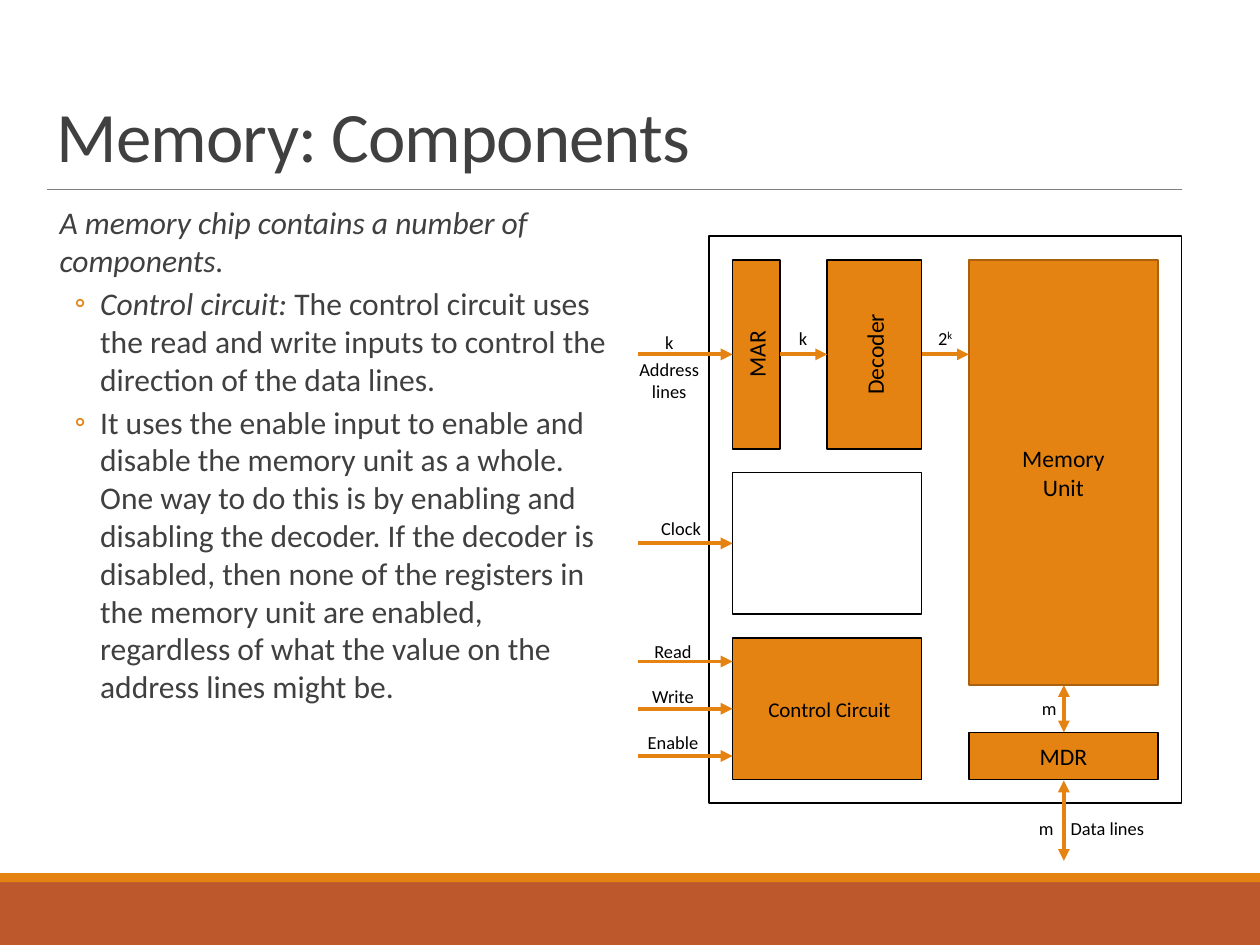
"""Builds a slide on the components of a memory chip."""
from dataclasses import dataclass
from lxml.etree import SubElement
from pptx import Presentation
from pptx.dml.color import RGBColor
from pptx.enum.shapes import MSO_CONNECTOR, MSO_SHAPE
from pptx.enum.text import MSO_ANCHOR, PP_ALIGN
from pptx.oxml.ns import qn
from pptx.util import Inches, Pt


@dataclass
class Theme:
    """Colours and type sizes."""
    font: str = "Calibri"
    ink: str = "404040"
    black: str = "000000"
    main: str = "E48312"
    edge: str = "A9610D"
    base: str = "BD582C"
    rule: str = "808080"
    title: int = 54
    body: int = 24
    block: int = 18
    small: int = 16
    label: int = 14


def cell(n):
    """Turns grid cells of a quarter inch into a length."""
    return Inches(n * 0.25)


def color(code):
    """Turns a hex code into a colour."""
    return RGBColor.from_string(code)


class Sheet:
    """Holds the theme and the slide being drawn."""

    def __init__(self, theme, slide):
        self.theme = theme
        self.slide = slide

    def run(self, para, text, size, ink, italic=False, **marks):
        """Adds one styled run."""
        run = para.add_run()
        run.text = text
        font = run.font
        font.name, font.size, font.italic = self.theme.font, Pt(size), italic
        font.color.rgb = color(ink)
        for key, val in marks.items():
            run._r.get_or_add_rPr().set(key, val)

    def paras(self, frame, count, align=PP_ALIGN.CENTER, before=0, after=0):
        """Returns the asked number of spaced paragraphs."""
        items = [frame.paragraphs[0]]
        items += [frame.add_paragraph() for _ in range(count - 1)]
        for para in items:
            para.alignment = align
            para.space_before, para.space_after = Pt(before), Pt(after)
        return items

    def indent(self, para, left, hang=0, mark=None):
        """Sets a hanging indent and a bullet."""
        props = para._p.get_or_add_pPr()
        props.set("marL", str(Inches(left)))
        props.set("indent", str(-Inches(hang)))
        if mark:
            tint = SubElement(props, qn("a:buClr"))
            SubElement(tint, qn("a:srgbClr"), val=self.theme.main)
            SubElement(props, qn("a:buFont"), typeface=self.theme.font)
            SubElement(props, qn("a:buChar"), char=mark)

    def title(self, text, *box):
        """Places and fills the title."""
        shape = self.slide.shapes.title
        shape.left, shape.top, shape.width, shape.height = map(cell, box)
        frame = shape.text_frame
        frame.vertical_anchor = MSO_ANCHOR.BOTTOM
        para = self.paras(frame, 1, PP_ALIGN.LEFT)[0]
        para.line_spacing = 0.85
        self.run(para, text, self.theme.title, self.theme.ink, spc="-70")

    def body(self, items, *box):
        """Adds a lead line with bullets below it."""
        frame = self.slide.shapes.add_textbox(*map(cell, box)).text_frame
        frame.word_wrap = True
        frame.margin_left = frame.margin_right = 0
        rows = self.paras(frame, len(items), PP_ALIGN.LEFT, 2, 2)
        for i, (para, runs) in enumerate(zip(rows, items)):
            self.indent(para, *((0.56, 0.27, "◦") if i else (0.13,)))
            for text, slant in runs:
                self.run(para, text, self.theme.body, self.theme.ink, slant)

    def block(self, lines, *box, fill=None, line=None, size=None, turn=False):
        """Adds a rectangle with centred text."""
        shape = self.slide.shapes.add_shape(MSO_SHAPE.RECTANGLE, *map(cell, box))
        shape.shadow.inherit = False
        if fill:
            shape.fill.solid()
            shape.fill.fore_color.rgb = color(fill)
        else:
            shape.fill.background()
        if line:
            shape.line.color.rgb = color(line)
            shape.line.width = Pt(1.25)
        else:
            shape.line.fill.background()
        frame = shape.text_frame
        frame.vertical_anchor = MSO_ANCHOR.MIDDLE
        if turn:
            frame._txBody.bodyPr.set("vert", "vert270")
        for para, text in zip(self.paras(frame, len(lines)), lines):
            self.run(para, text, size or self.theme.block, self.theme.black)
        return frame

    def label(self, lines, *box, before=4, after=0, power=None):
        """Adds a small centred caption."""
        frame = self.slide.shapes.add_textbox(*map(cell, box)).text_frame
        frame.word_wrap = False
        style = self.theme.label, self.theme.black
        for para, text in zip(self.paras(frame, len(lines), before=before, after=after), lines):
            for i, part in enumerate(text.split("\n")):
                if i:
                    para.add_line_break()
                self.run(para, part, *style)
            if power:
                self.run(para, power, *style, baseline="30000")

    def line(self, *ends, ink=None, width=3, heads=("tailEnd",)):
        """Adds a straight line with arrowheads."""
        link = self.slide.shapes.add_connector(MSO_CONNECTOR.STRAIGHT, *map(cell, ends))
        link.line.color.rgb = color(ink or self.theme.main)
        link.line.width = Pt(width)
        for head in heads:
            SubElement(link.line._get_or_add_ln(), qn("a:" + head), type="triangle")
        SubElement(link._element.spPr, qn("a:effectLst"))


deck = Presentation()
deck.slide_width, deck.slide_height = Inches(13.33), Inches(10)
look = Theme()
page = Sheet(look, deck.slides.add_slide(deck.slide_layouts[5]))

page.block([], 0, 37.32, 53.32, 2.68, fill=look.base)
page.block([], 0, 36.96, 53.32, 0.38, fill=look.main)
page.line(2, 8, 50, 8, ink=look.rule, width=0.5, heads=())
page.title("Memory: Components", 2, 1.68, 48, 6)
page.body([
    [("A memory chip contains a number of components.", True)],
    [("Control circuit:", True),
     (" The control circuit uses the read and write inputs to control the "
      "direction of the data lines.", False)],
    [("It uses the enable input to enable and disable the memory unit as a "
      "whole. One way to do this is by enabling and disabling the decoder. If "
      "the decoder is disabled, then none of the registers in the memory unit "
      "are enabled, regardless of what the value on the address lines might "
      "be.", False)],
], 2, 8.4, 23.8, 26)

solid = {"fill": look.main, "line": look.black}
page.block([], 30, 10, 20, 24, line=look.black)
page.block(["MAR"], 31, 11, 2, 8, turn=True, **solid)
page.block(["Decoder"], 35, 11, 4, 8, turn=True, **solid)
page.block(["Memory", "Unit"], 41, 11, 8, 18, fill=look.main, line=look.edge)
page.block(["MDR"], 41, 31, 8, 2, **solid)
page.block([], 31, 20, 8, 6, line=look.black)
frame = page.block(["Control Circuit"], 31, 27, 8, 6, size=look.small, **solid)
frame.margin_left = Inches(0.05)
frame.margin_top = frame.margin_right = frame.margin_bottom = 0

for row in (15, 23, 28, 30, 32):
    page.line(27, row, 31, row)
for left, right in ((33, 35), (39, 41)):
    page.line(left, 15, right, 15)
for top, low in ((29, 31), (33.04, 36.44)):
    page.line(45.02, top, 45.02, low, heads=("headEnd", "tailEnd"))

page.label(["k", "Address\nlines"], 26.64, 13.8, 3.36, 3.44)
page.label(["Clock"], 27.56, 21.68, 2.52, 1.36)
page.label(["Read", "Write", "Enable"], 27, 26.88, 2.96, 5.24, before=0, after=18)
page.label(["k"], 33.4, 13.64, 1.16, 1.36)
page.label(["2"], 39.28, 13.64, 1.44, 1.36, power="k")
page.label(["m"], 43.68, 29.32, 1.44, 1.36)
page.label(["m"], 43.56, 34.4, 1.44, 1.36)
page.label(["Data lines"], 44.88, 34.4, 3.96, 1.36)

deck.save("out.pptx")
